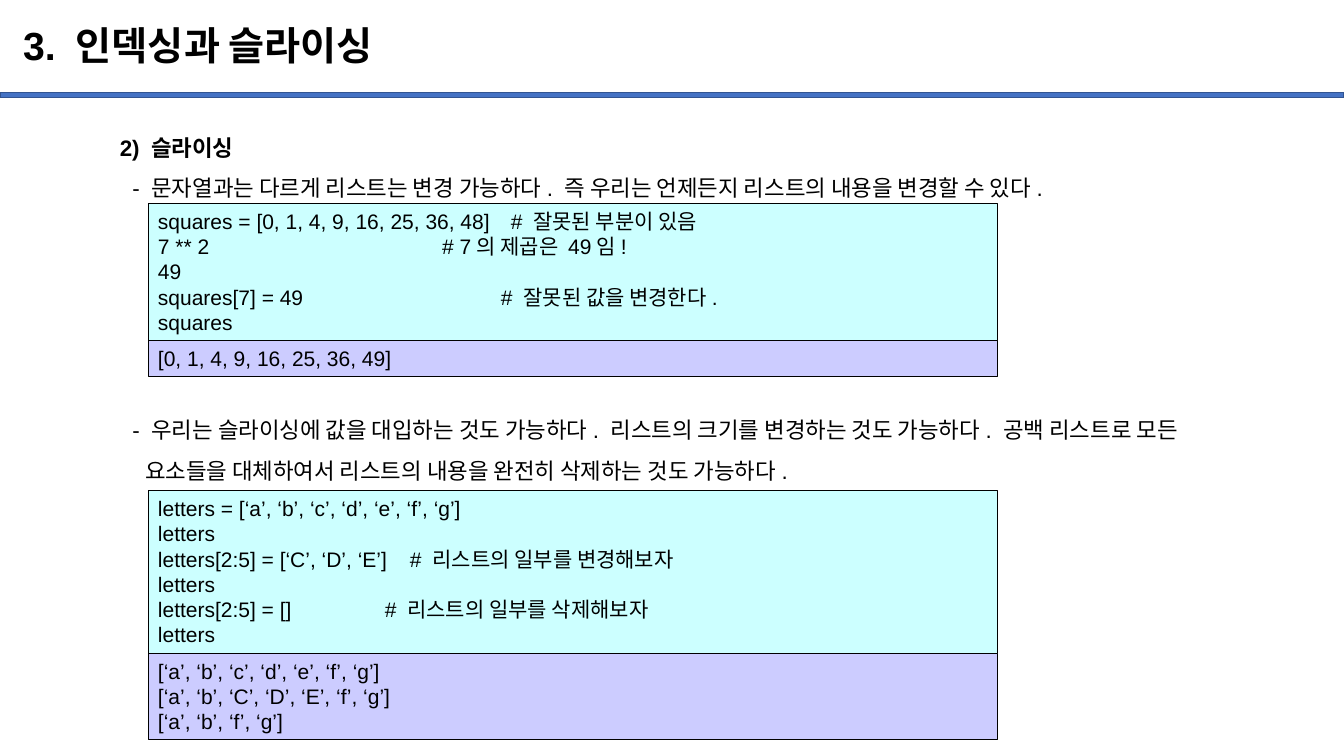
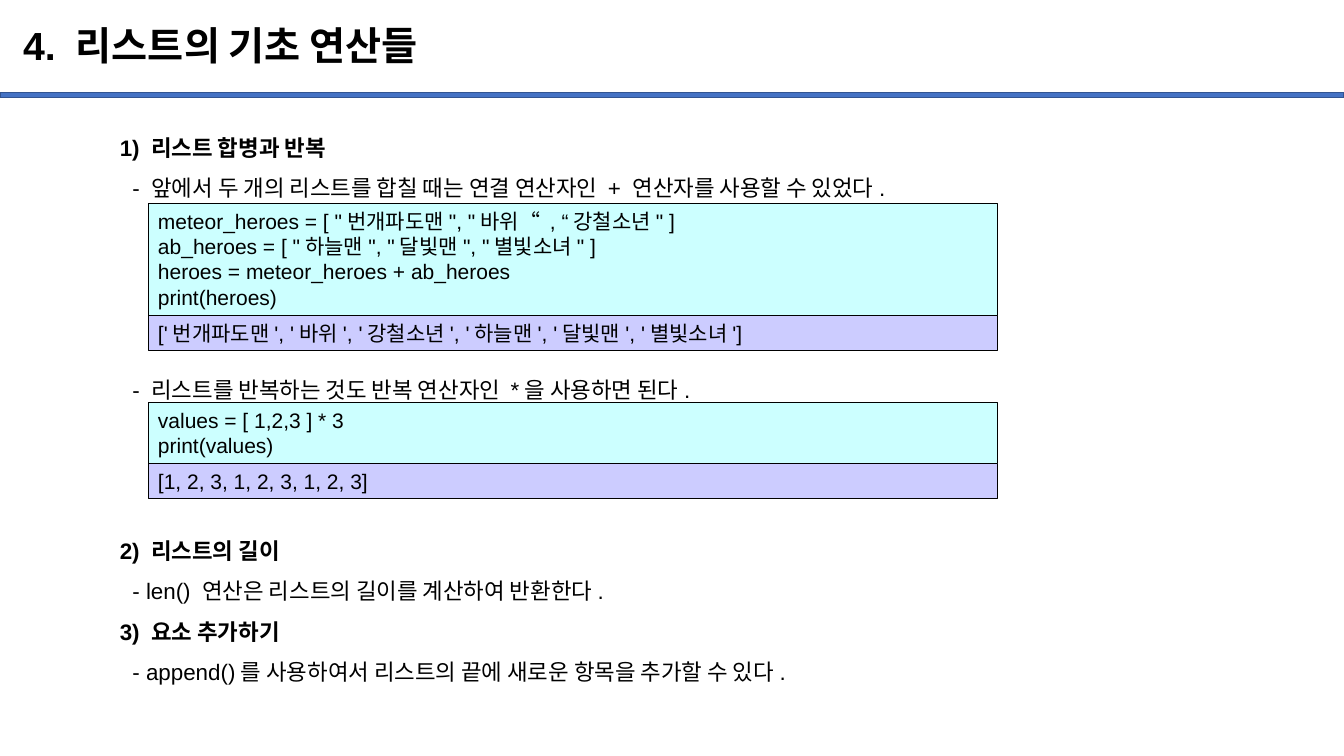
from lxml import etree
from pptx import Presentation
from pptx.dml.color import RGBColor
from pptx.enum.shapes import MSO_SHAPE
from pptx.enum.text import MSO_ANCHOR, PP_ALIGN
from pptx.oxml.ns import qn
from pptx.util import Pt

RECT = MSO_SHAPE.RECTANGLE
TOP, MIDDLE = MSO_ANCHOR.TOP, MSO_ANCHOR.MIDDLE
LEFT = PP_ALIGN.LEFT

FONT = "Arial"
BLACK, BAR, BAR_LINE = "000000", "4472C4", "325491"
CODE, OUTPUT = "CCFFFF", "CCCCFF"
BODY_LINE = 28.8    # height of one body line
CODE_LINE = 18.15   # height of one code line
INSET = 7.2         # top and bottom inset of a code box together
BOX_LEFT, BOX_WIDTH = 105.8, 607

# Body lines: text, indent level, bold, body lines left free above.
# Code blocks: top, code lines, output lines. A code line may be
# (code, comment, position of the comment).
SLIDES = [
    {
        "title": "3. 인덱싱과 슬라이싱",
        "height": 294.5,
        "body": [
            ("2) 슬라이싱", 0, True, 0),
            ("- 문자열과는 다르게 리스트는 변경 가능하다. 즉 우리는 언제든지 "
             "리스트의 내용을 변경할 수 있다.", 1, False, 0),
            ("- 우리는 슬라이싱에 값을 대입하는 것도 가능하다. 리스트의 크기를 "
             "변경하는 것도 가능하다. 공백 리스트로 모든", 1, False, 5),
            ("요소들을 대체하여서 리스트의 내용을 완전히 삭제하는 것도 가능하다.",
             2, False, 0),
        ],
        "blocks": [
            (145.4,
             [("squares = [0, 1, 4, 9, 16, 25, 36, 48]", "# 잘못된 부분이 있음", 252),
              ("7 ** 2", "# 7의 제곱은 49임!", 203),
              "49",
              ("squares[7] = 49", "# 잘못된 값을 변경한다.", 245),
              "squares"],
             ["[0, 1, 4, 9, 16, 25, 36, 49]"]),
            (350.6,
             ["letters = [‘a’, ‘b’, ‘c’, ‘d’, ‘e’, ‘f’, ‘g’]",
              "letters",
              ("letters[2:5] = [‘C’, ‘D’, ‘E’]", "# 리스트의 일부를 변경해보자", 180),
              "letters",
              ("letters[2:5] = []", "# 리스트의 일부를 삭제해보자", 162),
              "letters"],
             ["[‘a’, ‘b’, ‘c’, ‘d’, ‘e’, ‘f’, ‘g’]",
              "[‘a’, ‘b’, ‘C’, ‘D’, ‘E’, ‘f’, ‘g’]",
              "[‘a’, ‘b’, ‘f’, ‘g’]"]),
        ],
    },
    {
        "title": "4. 리스트의 기초 연산들",
        "height": 410.4,
        "body": [
            ("1) 리스트 합병과 반복", 0, True, 0),
            ("- 앞에서 두 개의 리스트를 합칠 때는 연결 연산자인 + 연산자를 "
             "사용할 수 있었다.", 1, False, 0),
            ("- 리스트를 반복하는 것도 반복 연산자인 *을 사용하면 된다.", 1, False, 4),
            ("2) 리스트의 길이", 0, True, 3),
            ("- len() 연산은 리스트의 길이를 계산하여 반환한다.", 1, False, 0),
            ("3) 요소 추가하기", 0, True, 0),
            ("- append()를 사용하여서 리스트의 끝에 새로운 항목을 추가할 수 있다.",
             1, False, 0),
        ],
        "blocks": [
            (145.4,
             ['meteor_heroes = [ "번개파도맨", "바위“ , “강철소년" ]',
              'ab_heroes = [ "하늘맨", "달빛맨", "별빛소녀" ]',
              "heroes = meteor_heroes + ab_heroes",
              "print(heroes)"],
             ["['번개파도맨', '바위', '강철소년', '하늘맨', '달빛맨', '별빛소녀']"]),
            (287.3,
             ["values = [ 1,2,3 ] * 3", "print(values)"],
             ["[1, 2, 3, 1, 2, 3, 1, 2, 3]"]),
        ],
    },
]


def rgb(color):
    """Turn a hex string into a colour."""
    return RGBColor.from_string(color)


def add_line(tf, text, size, bold=False):
    """Write text as the next paragraph of a text frame and return it."""
    p = tf.paragraphs[0]
    if p.runs:
        p = tf.add_paragraph()
    p.alignment = LEFT
    r = p.add_run()
    r.text = text
    r.font.name, r.font.size, r.font.bold = FONT, Pt(size), bold
    r.font.color.rgb = rgb(BLACK)
    return p


prs = Presentation()
prs.slide_width, prs.slide_height = Pt(960), Pt(540)

for content in SLIDES:
    s = prs.slides.add_slide(prs.slide_layouts[6])

    bar = s.shapes.add_shape(RECT, 0, Pt(66.2), prs.slide_width, Pt(3.6))
    bar.shadow.inherit = False
    bar.fill.solid()
    bar.fill.fore_color.rgb = rgb(BAR)
    bar.line.color.rgb = rgb(BAR_LINE)
    bar.line.width = Pt(1)

    tf = s.shapes.add_textbox(Pt(9.4), Pt(7.2), Pt(828), Pt(53.3)).text_frame
    tf.word_wrap, tf.vertical_anchor = True, MIDDLE
    add_line(tf, content["title"], 28, True).line_spacing = 0.9

    tf = s.shapes.add_textbox(Pt(78.5), Pt(82.8), Pt(843.8),
                              Pt(content["height"])).text_frame
    tf.word_wrap = True
    for text, level, bold, free_lines in content["body"]:
        p = add_line(tf, text, 16, bold)
        p.line_spacing = 1.5
        p.space_before = Pt(free_lines * BODY_LINE)
        p._p.get_or_add_pPr().set("marL", str(Pt(9 * level)))

    for top, code, output in content["blocks"]:
        for lines, color in ((code, CODE), (output, OUTPUT)):
            height = len(lines) * CODE_LINE + INSET
            sp = s.shapes.add_shape(RECT, Pt(BOX_LEFT), Pt(top),
                                    Pt(BOX_WIDTH), Pt(height))
            sp.shadow.inherit = False
            sp.fill.solid()
            sp.fill.fore_color.rgb = rgb(color)
            sp.line.color.rgb = rgb(BLACK)
            sp.line.width = Pt(0.75)
            tf = sp.text_frame
            tf.word_wrap, tf.vertical_anchor = True, TOP
            for line in lines:
                if isinstance(line, str):
                    add_line(tf, line, 15)
                    continue
                statement, comment, position = line
                p = add_line(tf, statement + "\t" + comment, 15)
                tabs = etree.SubElement(p._p.get_or_add_pPr(), qn("a:tabLst"))
                etree.SubElement(tabs, qn("a:tab"), pos=str(Pt(position)), algn="l")
            top += height

prs.save("out.pptx")
